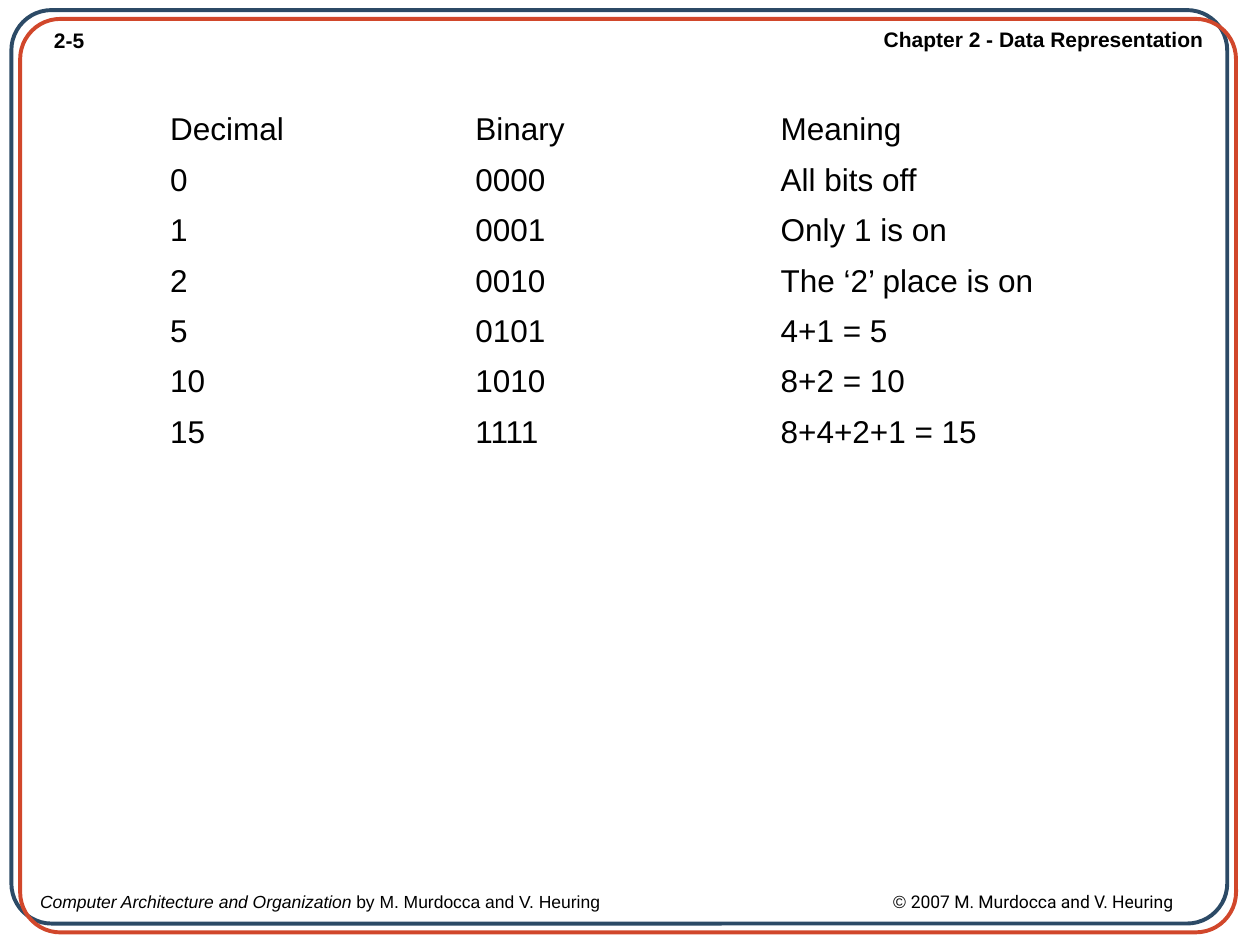
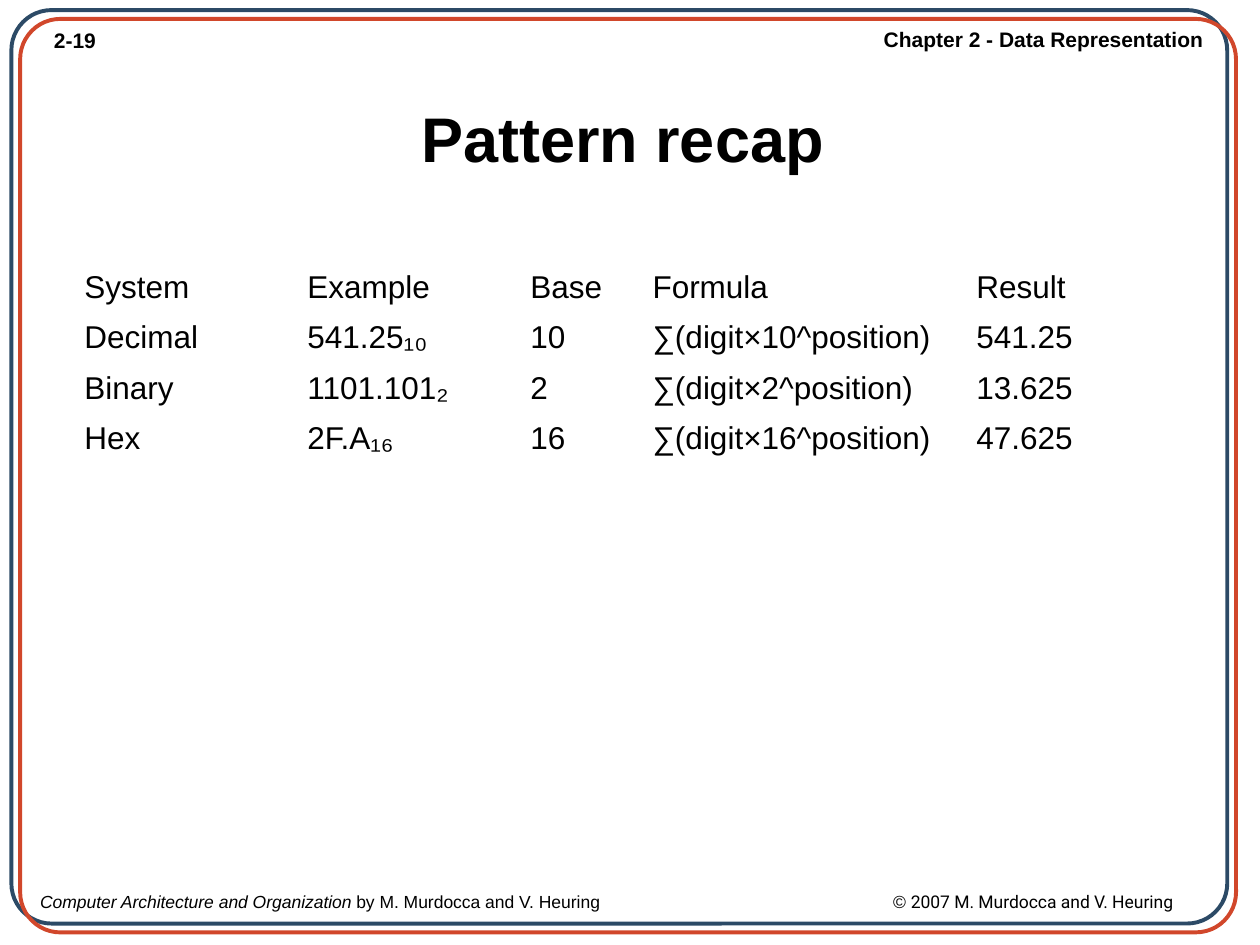
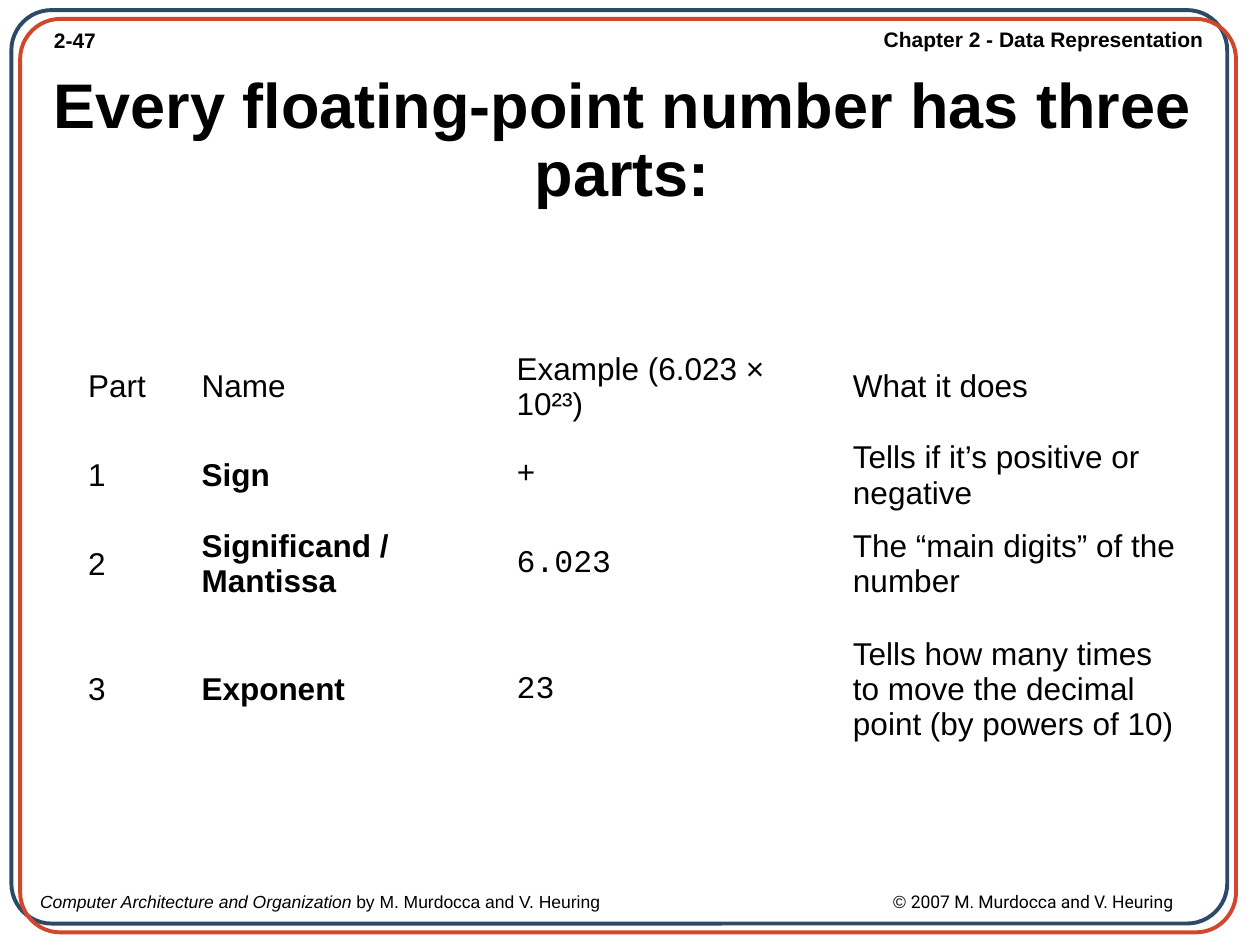
from lxml import etree
from pptx import Presentation
from pptx import util as u
from pptx.dml.color import RGBColor
from pptx.enum import shapes, text
from pptx.oxml import ns

NAVY = RGBColor(0x2C, 0x4A, 0x66)
RUST = RGBColor(0xD1, 0x47, 0x2B)
BLACK = RGBColor(0x00, 0x00, 0x00)

BODY_FONT, CODE_FONT, CREDIT_FONT = "Arial", "Courier New", "Roboto"
TITLE_ONLY, BLANK = 5, 6  # layout numbers
COLUMNS, ROWS = 100, 75   # page grid

CHAPTER = "Chapter 2 - Data Representation"
BOOK = "Computer Architecture and Organization "
AUTHORS = "M. Murdocca and V. Heuring"


class Deck:
    """Holds the shared style and the slide being built."""

    def __init__(self):
        self.deck = Presentation()
        self.deck.slide_width, self.deck.slide_height = u.Inches(10), u.Inches(7.5)
        self.slide = None

    def across(self, columns):
        return round(self.deck.slide_width * columns / COLUMNS)

    def down(self, rows):
        return round(self.deck.slide_height * rows / ROWS)

    def area(self, left, top, width, height):
        return self.across(left), self.down(top), self.across(width), self.down(height)

    def run(self, paragraph, words, size, font=BODY_FONT, bold=False, italic=False):
        run = paragraph.add_run()
        run.text = words
        run.font.name, run.font.size = font, u.Pt(size)
        run.font.bold, run.font.italic = bold, italic
        run.font.color.rgb = BLACK

    def label(self, area, align=text.PP_ALIGN.LEFT, wrap=True):
        """Add an empty text box and return its paragraph."""
        frame = self.slide.shapes.add_textbox(*self.area(*area)).text_frame
        frame.word_wrap = wrap
        frame.paragraphs[0].alignment = align
        return frame.paragraphs[0]

    def tab_stop(self, paragraph, columns):
        tabs = etree.SubElement(paragraph._p.get_or_add_pPr(), ns.qn("a:tabLst"))
        etree.SubElement(tabs, ns.qn("a:tab"), pos=str(self.across(columns)), algn="l")

    def border(self, left, top, color):
        outline = self.slide.shapes.add_shape(
            shapes.MSO_SHAPE.ROUNDED_RECTANGLE, *self.area(left, top, 96.5, 72.5))
        outline.adjustments[0] = 0.044
        outline.shadow.inherit = False
        outline.fill.background()
        outline.line.color.rgb = color
        outline.line.width = u.Pt(2.25)

    def page(self, number, title=None):
        """Start a slide with its header, footer, double border and title."""
        layout = TITLE_ONLY if title else BLANK
        self.slide = self.deck.slides.add_slide(self.deck.slide_layouts[layout])

        # Header
        self.run(self.label((3.3, 1.7, 5.6, 3)), number, 12, bold=True)
        chapter = self.label((69.1, 1.6, 27.4, 3), text.PP_ALIGN.RIGHT, wrap=False)
        self.run(chapter, CHAPTER, 12, bold=True)

        # Footer
        credit = self.label((2.2, 70.2, 97.8, 2.6))
        self.tab_stop(credit, 67.7)
        self.run(credit, BOOK, 10, italic=True)
        self.run(credit, f"by {AUTHORS}\t© ", 10)
        self.run(credit, f"2007 {AUTHORS}", 10, CREDIT_FONT)

        # Double border
        self.border(0.9, 0.8, NAVY)
        self.border(1.6, 1.5, RUST)

        if title:
            self.title(title)

    def title(self, words):
        heading = self.slide.shapes.title
        heading.left, heading.top, heading.width, heading.height = self.area(2.4, 5, 94, 12.5)
        frame = heading.text_frame
        frame.word_wrap = True
        frame.auto_size = text.MSO_AUTO_SIZE.NONE
        frame.vertical_anchor = text.MSO_ANCHOR.MIDDLE
        paragraph = frame.paragraphs[0]
        paragraph.alignment = text.PP_ALIGN.CENTER
        paragraph.line_spacing = 0.9
        self.run(paragraph, words, 36, bold=True)

    def table(self, left, top, widths, heights, records, styles=None):
        """Add a plain table; styles maps a column to the look of its body cells."""
        area = self.area(left, top, sum(widths), sum(heights))
        table = self.slide.shapes.add_table(len(heights), len(widths), *area).table
        table.first_row = table.horz_banding = False
        for column, width in zip(table.columns, widths):
            column.width = self.across(width)
        for row, height in zip(table.rows, heights):
            row.height = self.down(height)
        for r, record in enumerate(records):
            for c, words in enumerate(record):
                cell = table.cell(r, c)
                cell.fill.background()
                cell.vertical_anchor = text.MSO_ANCHOR.MIDDLE
                look = (styles or {}).get(c, {}) if r else {}
                self.run(cell.text_frame.paragraphs[0], words, 18, **look)


def main():
    deck = Deck()

    # Counting in binary
    bit_patterns = [
        ("Decimal", "Binary", "Meaning"),
        ("0", "0000", "All bits off"),
        ("1", "0001", "Only 1 is on"),
        ("2", "0010", "The ‘2’ place is on"),
        ("5", "0101", "4+1 = 5"),
        ("10", "1010", "8+2 = 10"),
        ("15", "1111", "8+4+2+1 = 15"),
    ]
    deck.page("2-5")
    deck.table(12.5, 8.3, [24.23] * 3, [4] * len(bit_patterns), bit_patterns)

    # Number systems side by side
    systems = [
        ("System", "Example", "Base", "Formula", "Result"),
        ("Decimal", "541.25₁₀", "10", "∑(digit×10^position)", "541.25"),
        ("Binary", "1101.101₂", "2", "∑(digit×2^position)", "13.625"),
        ("Hex", "2F.A₁₆", "16", "∑(digit×16^position)", "47.625"),
    ]
    deck.page("2-19", "Pattern recap")
    deck.table(5.7, 20.8, [17.7, 17.7, 9.7, 25.7, 17.7], [4] * len(systems), systems)

    # Parts of a floating-point number
    float_parts = [
        ("Part", "Name", "Example (6.023 × 10²³)", "What it does"),
        ("1", "Sign", "+", "Tells if it’s positive or negative"),
        ("2", "Significand / Mantissa", "6.023", "The “main digits” of the number"),
        ("3", "Exponent", "23",
         "Tells how many times to move the decimal point (by powers of 10)"),
    ]
    deck.page("2-47", "Every floating-point number has three parts:")
    deck.table(6, 27.2, [9, 25, 26.7, 27.9], [7.03, 7.03, 7.03, 12.9], float_parts,
               styles={1: {"bold": True}, 2: {"font": CODE_FONT}})

    deck.deck.save("out.pptx")


if __name__ == "__main__":
    main()
